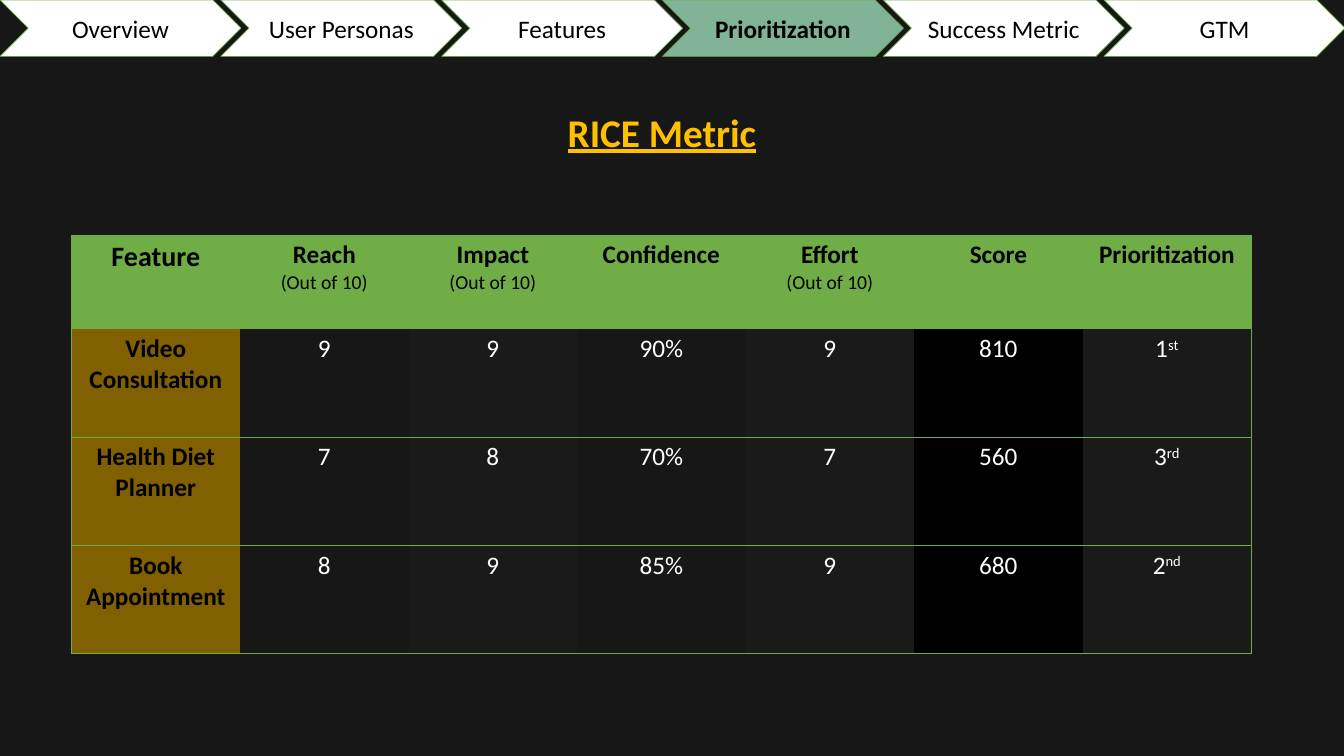
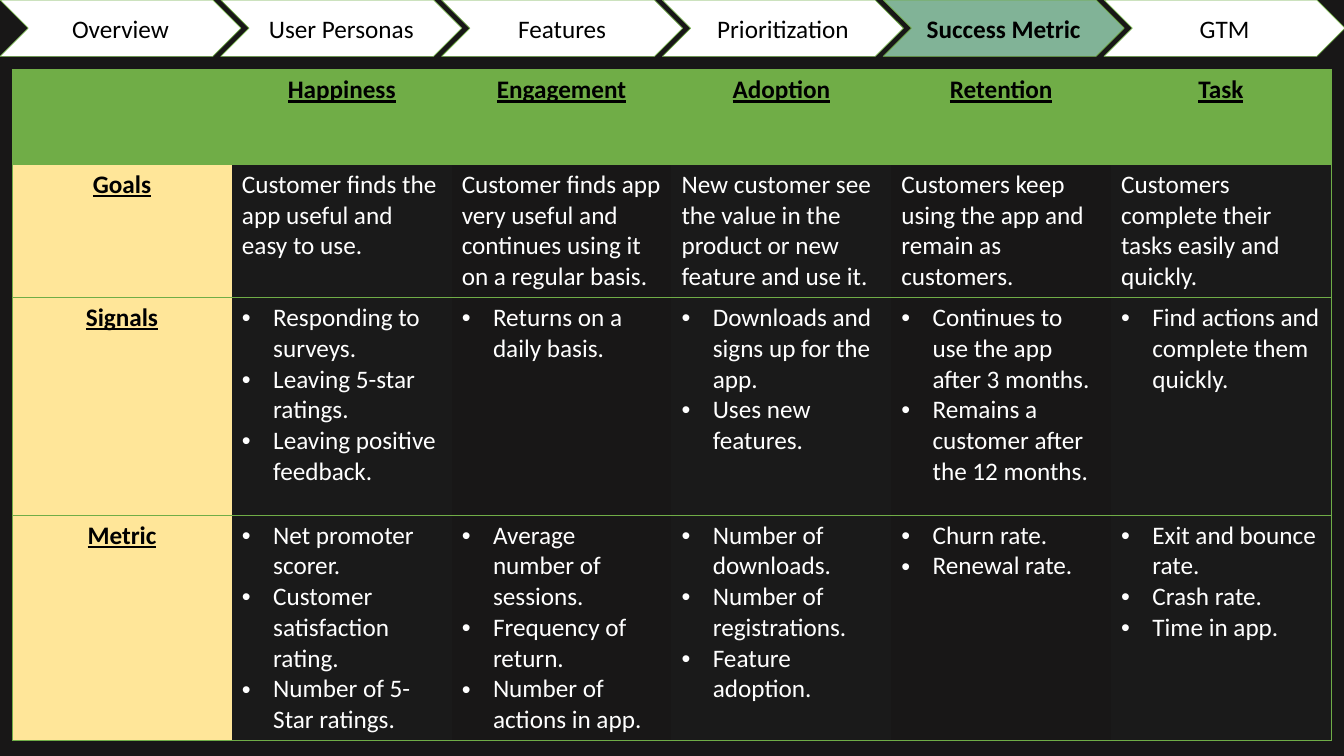
from lxml import etree
from pptx import Presentation
from pptx.dml.color import RGBColor
from pptx.enum.shapes import MSO_SHAPE
from pptx.enum.text import MSO_ANCHOR, MSO_AUTO_SIZE, PP_ALIGN
from pptx.oxml.ns import qn
from pptx.util import Inches, Pt

NOTCHED_ARROW = MSO_SHAPE.NOTCHED_RIGHT_ARROW
MIDDLE, TOP = MSO_ANCHOR.MIDDLE, MSO_ANCHOR.TOP
NO_AUTOFIT = MSO_AUTO_SIZE.NONE
CENTER, LEFT = PP_ALIGN.CENTER, PP_ALIGN.LEFT

FONT = "Calibri"
BACKGROUND, PANEL = "181717", "1A1A1A"
BLACK, WHITE = "000000", "FFFFFF"
GREEN, SAGE, GOLD = "70AD47", "81B397", "FFC000"
BROWN, CREAM = "806000", "FFE699"

SECTIONS = ["Overview", "User Personas", "Features", "Prioritization",
            "Success Metric", "GTM"]
TAB_PITCH, TAB_WIDTH, TAB_HEIGHT = 2.19, 2.39, 0.56
BULLET_INDENT = 0.31
BORDER_WIDTH = 0.5

RICE_HEADERS = [["Feature"], ["Reach", "(Out of 10)"], ["Impact", "(Out of 10)"],
                ["Confidence"], ["Effort", "(Out of 10)"], ["Score"],
                ["Prioritization"]]
RICE_ROWS = [
    ["Video Consultation", "9", "9", "90%", "9", "810", "1"],
    ["Health Diet Planner", "7", "8", "70%", "7", "560", "3"],
    ["Book Appointment", "8", "9", "85%", "9", "680", "2"],
]
ORDINALS = ["st", "rd", "nd"]
RICE_FILLS = [BROWN, BACKGROUND, PANEL, BACKGROUND, PANEL, BLACK, PANEL]

HEART_HEADERS = ["", "Happiness", "Engagement", "Adoption", "Retention", "Task"]
GOALS = [
    "Customer finds the app useful and easy to use.",
    "Customer finds app very useful and continues using it on a regular basis.",
    "New customer see the value in the product or new feature and use it.",
    "Customers keep using the app and remain as customers.",
    "Customers complete their tasks easily and quickly.",
]
SIGNALS = [
    ["Responding to surveys.", "Leaving 5-star ratings.",
     "Leaving positive feedback."],
    ["Returns on a daily basis."],
    ["Downloads and signs up for the app.", "Uses new features."],
    ["Continues to use the app after 3 months.",
     "Remains a customer after the 12 months."],
    ["Find actions and complete them quickly."],
]
METRICS = [
    ["Net promoter scorer.", "Customer satisfaction rating.",
     "Number of 5-Star ratings."],
    ["Average number of sessions.", "Frequency of return.",
     "Number of actions in app."],
    ["Number of downloads.", "Number of registrations.", "Feature adoption."],
    ["Churn rate.", "Renewal rate."],
    ["Exit and bounce rate.", "Crash rate.", "Time in app."],
]
HEART_FILLS = [CREAM, PANEL, BACKGROUND, PANEL, BACKGROUND, PANEL]


def color(hex_value):
    """Turn a hex string into a colour."""
    return RGBColor.from_string(hex_value)


def paint(fill, hex_value):
    """Give a fill one solid colour."""
    fill.solid()
    fill.fore_color.rgb = color(hex_value)


def style_runs(paragraph, size, hex_value, bold=False, underline=False):
    """Format every run of a paragraph."""
    for run in paragraph.runs:
        font = run.font
        font.name, font.size = FONT, Pt(size)
        font.bold, font.underline = bold, underline
        font.color.rgb = color(hex_value)


def add_navigation(slide, current):
    """Draw the row of section arrows with the current one highlighted."""
    for index, section in enumerate(SECTIONS):
        shape = slide.shapes.add_shape(
            NOTCHED_ARROW, Inches(index * TAB_PITCH), 0,
            Inches(TAB_WIDTH), Inches(TAB_HEIGHT))
        shape.adjustments[0], shape.adjustments[1] = 1, 0.5
        shape.shadow.inherit = False
        paint(shape.fill, SAGE if section == current else WHITE)
        shape.line.color.rgb = color(GREEN)
        shape.line.width = Pt(BORDER_WIDTH)
        frame = shape.text_frame
        frame.margin_left = frame.margin_right = 0
        frame.vertical_anchor = MIDDLE
        frame.text = section
        frame.paragraphs[0].alignment = CENTER
        style_runs(frame.paragraphs[0], 18, BLACK, bold=section == current)


def add_title(slide, text):
    """Place and format the slide title."""
    title = slide.shapes.title
    title.left, title.top = Inches(5.26), Inches(1.02)
    title.width, title.height = Inches(2.61), Inches(0.57)
    frame = title.text_frame
    frame.text = text
    frame.auto_size = NO_AUTOFIT
    frame.vertical_anchor = TOP
    frame.paragraphs[0].alignment = CENTER
    style_runs(frame.paragraphs[0], 28, GOLD, bold=True, underline=True)


def set_borders(cell, visible_sides):
    """Draw green lines on the visible sides and clear the others."""
    properties = cell._tc.get_or_add_tcPr()
    for side in "LRTB":
        line = etree.SubElement(properties, qn(f"a:ln{side}"),
                                w=str(Pt(BORDER_WIDTH)))
        if side in visible_sides:
            fill = etree.SubElement(line, qn("a:solidFill"))
            etree.SubElement(fill, qn("a:srgbClr"), val=GREEN)
        else:
            etree.SubElement(line, qn("a:noFill"))


def add_grid(slide, left, top, width, row_heights, column_fills):
    """Add a table with a green header, filled columns and row lines."""
    count = len(column_fills)
    table = slide.shapes.add_table(
        len(row_heights), count, Inches(left), Inches(top), Inches(width),
        Inches(sum(row_heights))).table
    table.horz_banding = False
    for row, height in zip(table.rows, row_heights):
        row.height = Inches(height)
    for row_index, row in enumerate(table.rows):
        for column_index, cell in enumerate(row.cells):
            sides = "TB"
            if column_index == 0:
                sides += "L"
            if column_index == count - 1:
                sides += "R"
            set_borders(cell, sides)
            paint(cell.fill, column_fills[column_index] if row_index else GREEN)
    return table


def write_cell(cell, text, size=18, hex_value=WHITE, alignment=CENTER, **style):
    """Write one formatted paragraph into a cell."""
    cell.text_frame.text = text
    paragraph = cell.text_frame.paragraphs[0]
    paragraph.alignment = alignment
    style_runs(paragraph, size, hex_value, **style)


def write_bullets(cell, items):
    """Write a bulleted list into a cell."""
    cell.text_frame.text = "\n".join(items)
    for paragraph in cell.text_frame.paragraphs:
        properties = paragraph._p.get_or_add_pPr()
        properties.set("marL", str(Inches(BULLET_INDENT)))
        properties.set("indent", str(-Inches(BULLET_INDENT)))
        etree.SubElement(properties, qn("a:buFont"), typeface="Arial")
        etree.SubElement(properties, qn("a:buChar"), char="•")
        style_runs(paragraph, 18, WHITE)


def add_superscript(cell, text):
    """Append a raised ordinal ending to a cell."""
    paragraph = cell.text_frame.paragraphs[0]
    run = paragraph.add_run()
    run.text = text
    style_runs(paragraph, 18, WHITE)
    run._r.get_or_add_rPr().set("baseline", "30000")


def add_rice_table(slide):
    """Add the RICE scores of the features."""
    table = add_grid(slide, 0.71, 2.33, 11.7, [0.93] + [1.075] * 3, RICE_FILLS)
    for column, (name, *notes) in enumerate(RICE_HEADERS):
        cell = table.cell(0, column)
        write_cell(cell, name, 18 if column else 20, BLACK, bold=True)
        for note in notes:
            paragraph = cell.text_frame.add_paragraph()
            paragraph.text = note
            paragraph.alignment = CENTER
            style_runs(paragraph, 14, BLACK)
    for row, (feature, *values) in enumerate(RICE_ROWS, start=1):
        write_cell(table.cell(row, 0), feature, hex_value=BLACK, bold=True)
        for column, value in enumerate(values, start=1):
            write_cell(table.cell(row, column), value)
        add_superscript(table.cell(row, len(values)), ORDINALS[row - 1])


def add_heart_table(slide):
    """Add the goals, signals and metrics of the HEART framework."""
    table = add_grid(slide, 0.12, 0.69, 13.08, [0.94, 1.3, 2.16, 2.19],
                     HEART_FILLS)
    headings = [(0, column, name) for column, name in enumerate(HEART_HEADERS)]
    headings += [(1, 0, "Goals"), (2, 0, "Signals"), (3, 0, "Metric")]
    for row, column, name in headings:
        write_cell(table.cell(row, column), name, hex_value=BLACK, bold=True,
                   underline=True)
    for column, goal in enumerate(GOALS, start=1):
        write_cell(table.cell(1, column), goal, alignment=LEFT)
    for row, lists in enumerate([SIGNALS, METRICS], start=2):
        for column, items in enumerate(lists, start=1):
            write_bullets(table.cell(row, column), items)


def main():
    """Build and save the presentation."""
    presentation = Presentation()
    presentation.slide_width = Inches(13.33)
    presentation.slide_height = Inches(7.5)
    paint(presentation.slide_master.background.fill, BACKGROUND)
    title_only, blank = presentation.slide_layouts[5], presentation.slide_layouts[6]

    slide = presentation.slides.add_slide(title_only)
    add_navigation(slide, "Prioritization")
    add_title(slide, "RICE Metric")
    add_rice_table(slide)

    slide = presentation.slides.add_slide(blank)
    add_navigation(slide, "Success Metric")
    add_heart_table(slide)

    presentation.save("out.pptx")


if __name__ == "__main__":
    main()
